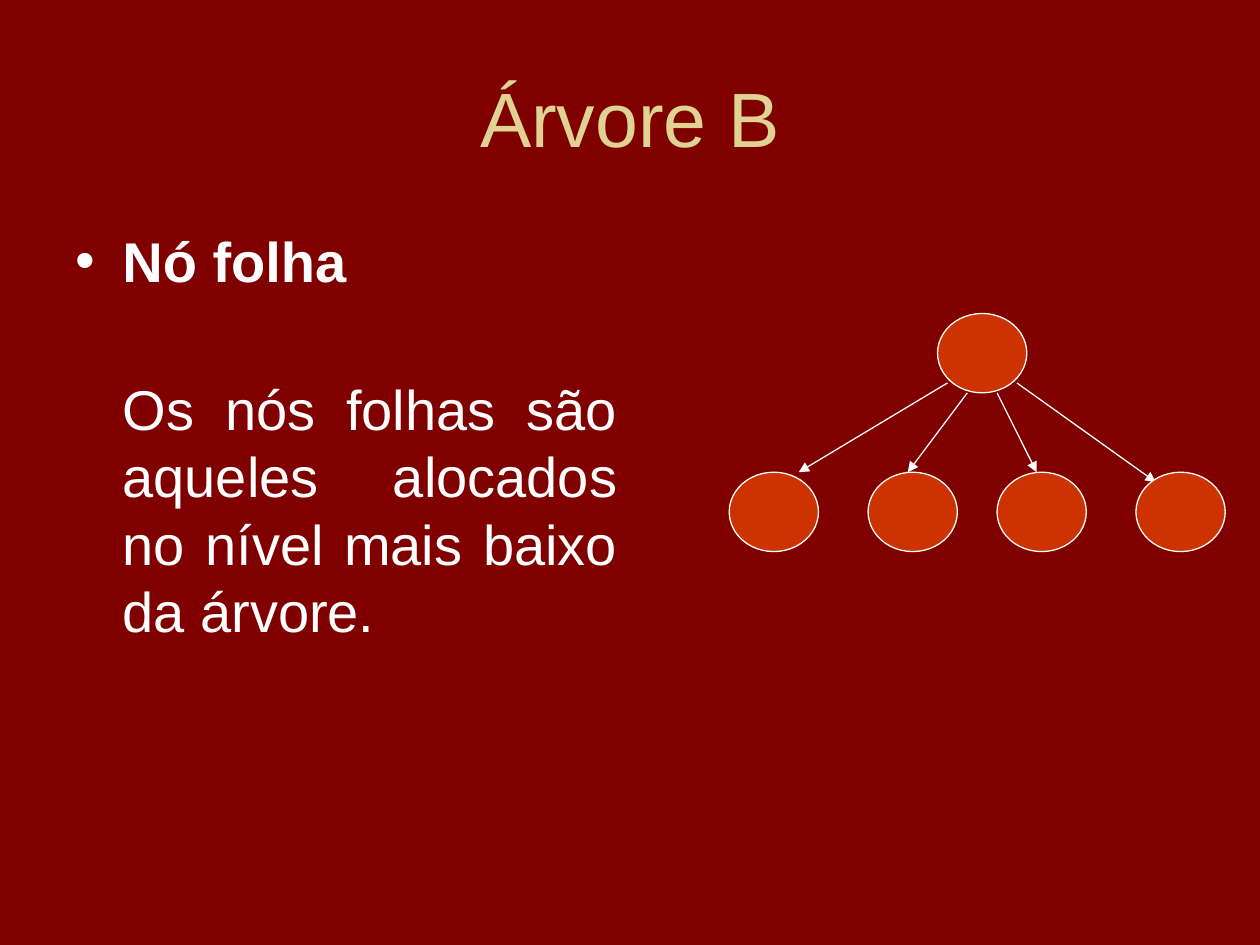
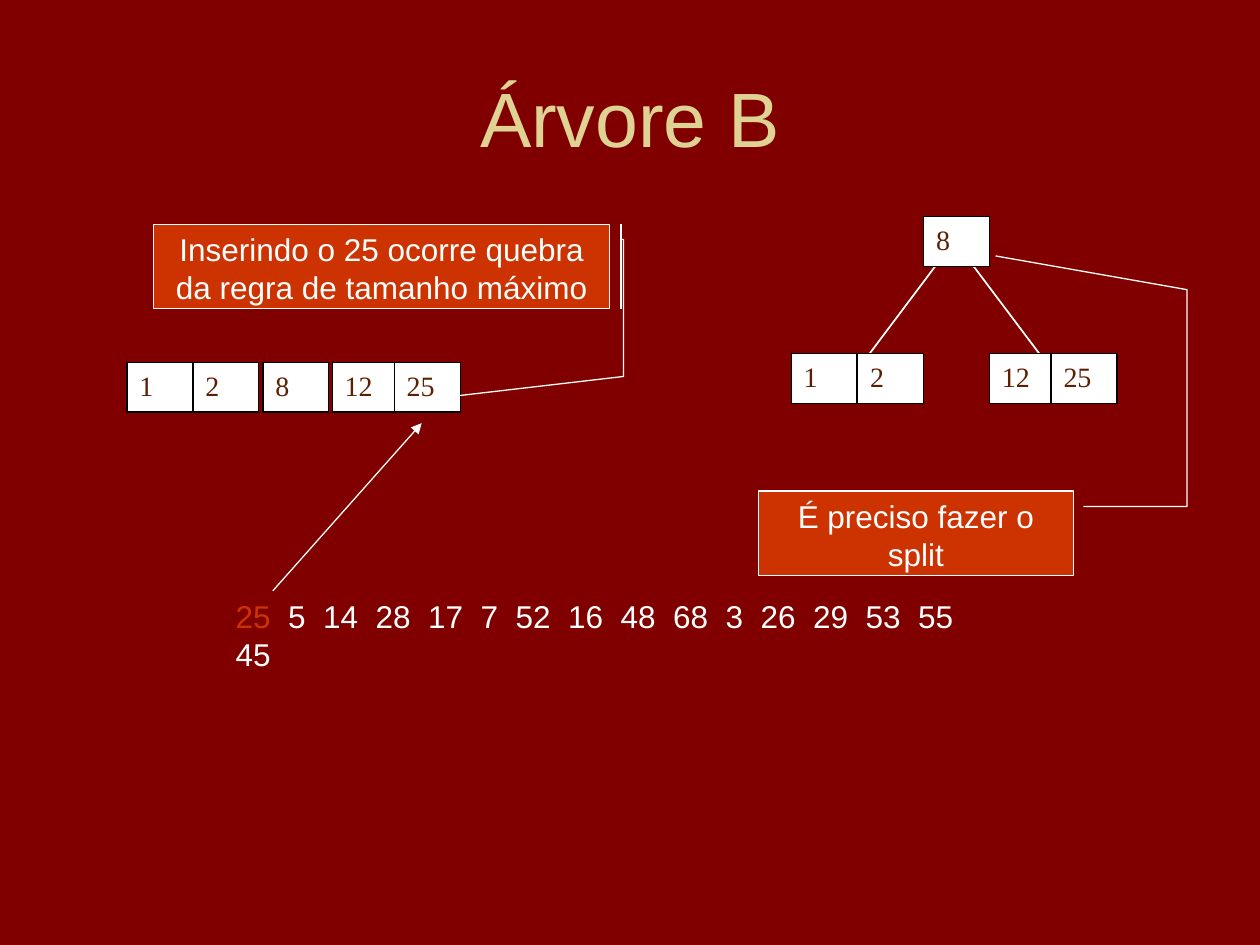
from pptx import Presentation
from pptx.dml.color import RGBColor
from pptx.enum.shapes import MSO_CONNECTOR, MSO_SHAPE
from pptx.enum.text import MSO_ANCHOR, PP_ALIGN
from pptx.oxml.ns import qn
from pptx.util import Cm, Pt
from lxml.etree import SubElement


def hue(code):
    return RGBColor.from_string(code)


def write(para, runs, look):
    para.alignment = look["align"]
    for text, extra in runs:
        run = para.add_run()
        run.text = text
        style = {**look, **extra}
        for key in ("name", "size", "bold"):
            setattr(run.font, key, style.get(key))
        run.font.color.rgb = hue(style["color"])


WINE, SAND, RUST = "800000", "DFD293", "CC3300"
WHITE, BLACK, BROWN = "FFFFFF", "000000", "5C1F00"
HEAD = {"name": "Arial", "size": Pt(44), "color": SAND, "align": PP_ALIGN.CENTER}
BODY = {"name": "Arial", "size": Pt(32), "color": WHITE, "align": PP_ALIGN.JUSTIFY}
NOTE = {"name": "Arial", "size": Pt(18), "color": WHITE, "align": PP_ALIGN.CENTER}
LIST = {**NOTE, "align": PP_ALIGN.LEFT}
CELL = {"name": "Times New Roman", "size": Pt(16), "color": BROWN, "align": PP_ALIGN.LEFT}

deck = Presentation()
deck.slide_width, deck.slide_height = Cm(25.4), Cm(19.05)
pages = []
for _ in range(2):
    page = deck.slides.add_slide(deck.slide_layouts[6])
    page.background.fill.solid()
    page.background.fill.fore_color.rgb = hue(WINE)
    pages.append(page)
leaf, split = pages

texts = [(page, (1.27, 0.76, 22.86, 3.18), MSO_ANCHOR.MIDDLE, HEAD, [[("Árvore B", {})]])
         for page in pages]
texts += [
    (leaf, (1.27, 4.45, 11.43, 12.57), MSO_ANCHOR.TOP, BODY, [
        [("Nó folha", {"bold": True})],
        [("Os nós folhas são aqueles alocados no nível mais baixo da árvore.", {})],
    ]),
    (split, (4.5, 11.91, 16.03, 0.94), MSO_ANCHOR.TOP, LIST, [
        [("25", {"color": RUST}),
         ("  5  14  28  17  7  52  16  48  68  3  26  29  53  55  45", {})],
    ]),
]
for page, box, anchor, look, paras in texts:
    frame = page.shapes.add_textbox(*map(Cm, box)).text_frame
    frame.word_wrap = True
    frame.vertical_anchor = anchor
    for num, runs in enumerate(paras):
        para = frame.add_paragraph() if num else frame.paragraphs[0]
        if look is BODY:
            props = para._p.get_or_add_pPr()
            props.set("marL", str(Cm(0.95)))
            props.set("indent", str(-Cm(0.95) if num == 0 else 0))
            if num == 0:
                SubElement(props, qn("a:buFont")).set("typeface", "Arial")
                SubElement(props, qn("a:buChar")).set("char", "•")
            else:
                para.space_before = Pt(46)
        write(para, runs, look)

lines = [
    (leaf, (19.1, 7.72, 16.1, 9.52), 0.75, True),
    (leaf, (19.5, 7.92, 18.3, 9.52), 0.75, True),
    (leaf, (20.1, 7.92, 20.9, 9.52), 0.75, True),
    (leaf, (20.5, 7.72, 23.3, 9.72), 0.75, True),
    (split, (19.13, 5, 17.22, 7.54), 1, False),
    (split, (19.35, 5, 21.26, 7.54), 1, False),
    (split, (5.5, 11.91, 8.5, 8.53), 0.75, True),
    (split, (12.52, 4.52, 12.52, 6.22), 0.75, False),
]
for page, ends, width, arrow in lines:
    link = page.shapes.add_connector(MSO_CONNECTOR.STRAIGHT, *map(Cm, ends))
    link.line.width = Pt(width)
    link.line.color.rgb = hue(WHITE)
    if arrow:
        SubElement(link.line._get_or_add_ln(), qn("a:tailEnd")).set("type", "triangle")
    SubElement(link._element.spPr, qn("a:effectLst"))

nodes = [(18.9, 6.32)] + [(left, 9.52) for left in (14.7, 17.5, 20.1, 22.9)]
keys = [
    (2.56, 7.31, "1"), (3.89, 7.31, "2"), (5.3, 7.31, "8"),
    (6.7, 7.31, "12"), (7.95, 7.31, "25"),
    (18.62, 4.37, "8"), (15.95, 7.13, "1"), (17.29, 7.13, "2"),
    (19.95, 7.13, "12"), (21.19, 7.13, "25"),
]
notes = [
    (3.1, 4.52, 9.19, "Inserindo o 25 ocorre quebra da regra de tamanho máximo"),
    (15.29, 9.9, 6.35, "É preciso fazer o split"),
]
forms = [(leaf, MSO_SHAPE.OVAL, (left, top, 1.8, 1.6), RUST, WHITE, "", NOTE)
         for left, top in nodes]
forms += [(split, MSO_SHAPE.RECTANGLE, (left, top, 1.33, 1), WHITE, BLACK, text, CELL)
          for left, top, text in keys]
forms += [(split, MSO_SHAPE.RECTANGLE, (left, top, wide, 1.7), RUST, WHITE, text, NOTE)
          for left, top, wide, text in notes]
for page, kind, box, fill, edge, text, look in forms:
    shape = page.shapes.add_shape(kind, *map(Cm, box))
    shape.shadow.inherit = False
    shape.fill.solid()
    shape.fill.fore_color.rgb = hue(fill)
    shape.line.color.rgb = hue(edge)
    shape.line.width = Pt(0.75)
    if text:
        shape.text_frame.word_wrap = True
        shape.text_frame.vertical_anchor = MSO_ANCHOR.TOP
        write(shape.text_frame.paragraphs[0], [(text, {})], look)

leads = [
    [(12.52, 4.83), (12.57, 4.83), (12.57, 7.59), (8.79, 8.03)],
    [(21.84, 10.21), (23.93, 10.21), (23.93, 5.84), (20.07, 5.16)],
]
for lead in leads:
    start, *rest = [(Cm(x), Cm(y)) for x, y in lead]
    pen = split.shapes.build_freeform(*start)
    pen.add_line_segments(rest, close=False)
    shape = pen.convert_to_shape()
    shape.shadow.inherit = False
    shape.fill.background()
    shape.line.color.rgb = hue(WHITE)
    shape.line.width = Pt(0.75)

deck.save("out.pptx")
